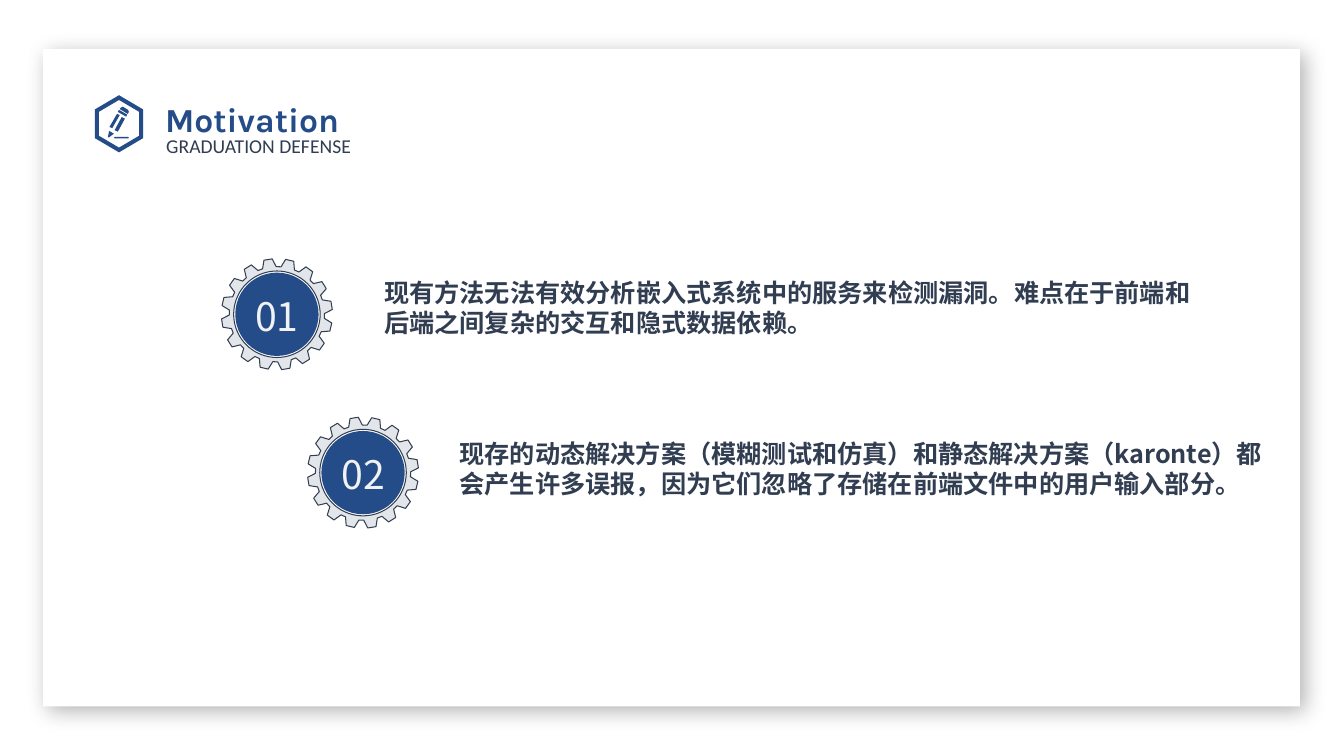
import math

import lxml.etree
import pptx
import pptx.dml.color
import pptx.enum.shapes
import pptx.enum.text
import pptx.oxml
import pptx.oxml.ns
import pptx.util

Cm = pptx.util.Cm
Pt = pptx.util.Pt
rgb = pptx.dml.color.RGBColor.from_string
BLUE, SLATE, CJK_FONT = "244C89", "313D51", "Noto Sans CJK SC"

presentation = pptx.Presentation()
presentation.slide_width = Cm(33.87)
presentation.slide_height = Cm(19.05)
slide = presentation.slides.add_slide(presentation.slide_layouts[5])


def write(box, text, font_name, size, color, spacing, bold=False, margins=(0, 0, 0, 0)):
    """Fill a box with one styled paragraph; margins are left, top, right, bottom in cm."""
    frame = box.text_frame
    frame.word_wrap = True
    frame.auto_size = pptx.enum.text.MSO_AUTO_SIZE.NONE
    frame.vertical_anchor = pptx.enum.text.MSO_ANCHOR.TOP
    (frame.margin_left, frame.margin_top,
     frame.margin_right, frame.margin_bottom) = map(Cm, margins)
    paragraph = frame.paragraphs[0]
    run = paragraph.add_run()
    run.text = text
    paragraph.alignment = pptx.enum.text.PP_ALIGN.LEFT
    paragraph.line_spacing = spacing
    paragraph.font.size = Pt(size)
    paragraph.font.bold = bold
    paragraph.font.color.rgb = rgb(color)
    paragraph.font.name = font_name
    run.font.name = font_name
    east_asian = lxml.etree.SubElement(run.font._element, pptx.oxml.ns.qn("a:ea"))
    east_asian.set("typeface", font_name)
    return paragraph


def draw_outline(contours, color):
    """Draw closed contours, given as points in cm, as one filled shape."""
    contours = [[(Cm(x), Cm(y)) for x, y in contour] for contour in contours]
    builder = slide.shapes.build_freeform(*contours[0][0], scale=1.0)
    builder.add_line_segments(contours[0][1:], close=True)
    for contour in contours[1:]:
        builder.move_to(*contour[0])
        builder.add_line_segments(contour[1:], close=True)
    outline = builder.convert_to_shape()
    outline.shadow.inherit = False
    outline.fill.solid()
    outline.fill.fore_color.rgb = rgb(color)
    outline.line.fill.background()
    return outline


# White card with a soft shadow, behind everything
card = slide.shapes.add_shape(pptx.enum.shapes.MSO_SHAPE.RECTANGLE,
                              Cm(1.09), Cm(1.24), Cm(31.67), Cm(16.56))
card.fill.solid()
card.fill.fore_color.rgb = rgb("FFFFFF")
card.line.fill.background()
card.shadow.inherit = False
effects = card.element.spPr.find(pptx.oxml.ns.qn("a:effectLst"))
effects.append(pptx.oxml.parse_xml(
    f'<a:outerShdw {pptx.oxml.ns.nsdecls("a")} blurRad="{Pt(15)}" dist="{Pt(5)}" '
    'dir="2700000" algn="tl" rotWithShape="0">'
    '<a:srgbClr val="000000"><a:alpha val="30000"/></a:srgbClr></a:outerShdw>'))

# Heading
title = slide.shapes.title
title.element.addprevious(card.element)
title.left, title.top, title.width, title.height = Cm(3.91), Cm(2.16), Cm(10.08), Cm(1.27)
write(title, "Motivation", "Karla", 24, BLUE, 1.2, bold=True,
      margins=(0.25, 0.13, 0.25, 0.13))
subtitle = slide.shapes.add_textbox(Cm(4.19), Cm(3.15), Cm(5.51), Cm(0.86))
write(subtitle, "GRADUATION DEFENSE", "Calibri", 14, SLATE, Pt(23), margins=(0, 0, 0, 0.13))

# Pencil in a hexagon
hexagons = [[(3 + radius * math.sin(math.radians(60 * corner)) * 0.98,
              3.12 - radius * math.cos(math.radians(60 * corner))) for corner in range(6)]
            for radius in (0.72, 0.6)]
pencil = [
    [(2.9, 3.45), (3.23, 3.45), (3.25, 3.47), (3.23, 3.49), (2.9, 3.49), (2.87, 3.47)],
    [(2.89, 3.28), (3.07, 2.95), (3.15, 2.99), (2.97, 3.32)],
    [(2.76, 3.2), (2.95, 2.87), (3.02, 2.9), (2.83, 3.23)],
    [(2.72, 3.46), (2.75, 3.3), (2.87, 3.37), (2.75, 3.46)],
    [(3, 2.77), (2.97, 2.82), (3.18, 2.94), (3.21, 2.89)],
    [(3.05, 2.71), (3.1, 2.69), (3.23, 2.77), (3.25, 2.82), (3.22, 2.87), (3.02, 2.75)],
]
draw_outline(hexagons + pencil, BLUE)

# Numbered gears, each with its point
TEETH, FIRST_TOOTH = 16, math.radians(103.3)
TOOTH_PROFILE = [(-0.145, 1.2), (-0.075, 1.4), (0.075, 1.4), (0.145, 1.2)]
HOLE_RADIUS, DISC_RADIUS = 1.09, 1.05
points = [
    ("01", 6.98, 7.92, 9.68, 6.99,
     "现有方法无法有效分析嵌入式系统中的服务来检测漏洞。难点在于前端和后端之间复杂的交互和隐式数据依赖。"),
    ("02", 9.15, 11.91, 11.58, 11.05,
     "现存的动态解决方案（模糊测试和仿真）和静态解决方案（karonte）都会产生许多误报，"
     "因为它们忽略了存储在前端文件中的用户输入部分。"),
]
for number, center_x, center_y, text_left, text_top, statement in points:
    rim = [(center_x + radius * math.cos(angle), center_y + radius * math.sin(angle))
           for tooth in range(TEETH)
           for offset, radius in TOOTH_PROFILE
           for angle in [FIRST_TOOTH + tooth * math.tau / TEETH + offset]]
    hole = [(center_x + HOLE_RADIUS * math.cos(math.radians(degree)),
             center_y - HOLE_RADIUS * math.sin(math.radians(degree)))
            for degree in range(0, 360, 5)]
    gear = draw_outline([rim, hole], "E2E6EA")
    gear.line.color.rgb = rgb("333F50")
    gear.line.width = Pt(0.75)

    disc = slide.shapes.add_shape(pptx.enum.shapes.MSO_SHAPE.OVAL,
                                  Cm(center_x - DISC_RADIUS), Cm(center_y - DISC_RADIUS),
                                  Cm(2 * DISC_RADIUS), Cm(2 * DISC_RADIUS))
    disc.shadow.inherit = False
    disc.fill.solid()
    disc.fill.fore_color.rgb = rgb(BLUE)
    disc.line.fill.background()

    label = slide.shapes.add_textbox(Cm(center_x - 0.84), Cm(center_y - 0.8), Cm(1.68), Cm(1.57))
    label_paragraph = write(label, number, CJK_FONT, 28, "F0F2F4", 1.1,
                            margins=(0.25, 0.13, 0.25, 0.13))
    label_paragraph.alignment = pptx.enum.text.PP_ALIGN.CENTER
    label.text_frame.word_wrap = False

    statement_box = slide.shapes.add_textbox(Cm(text_left), Cm(text_top), Cm(20.83), Cm(1.78))
    write(statement_box, statement, CJK_FONT, 18, SLATE, 1.0, bold=True)

presentation.save("out.pptx")
